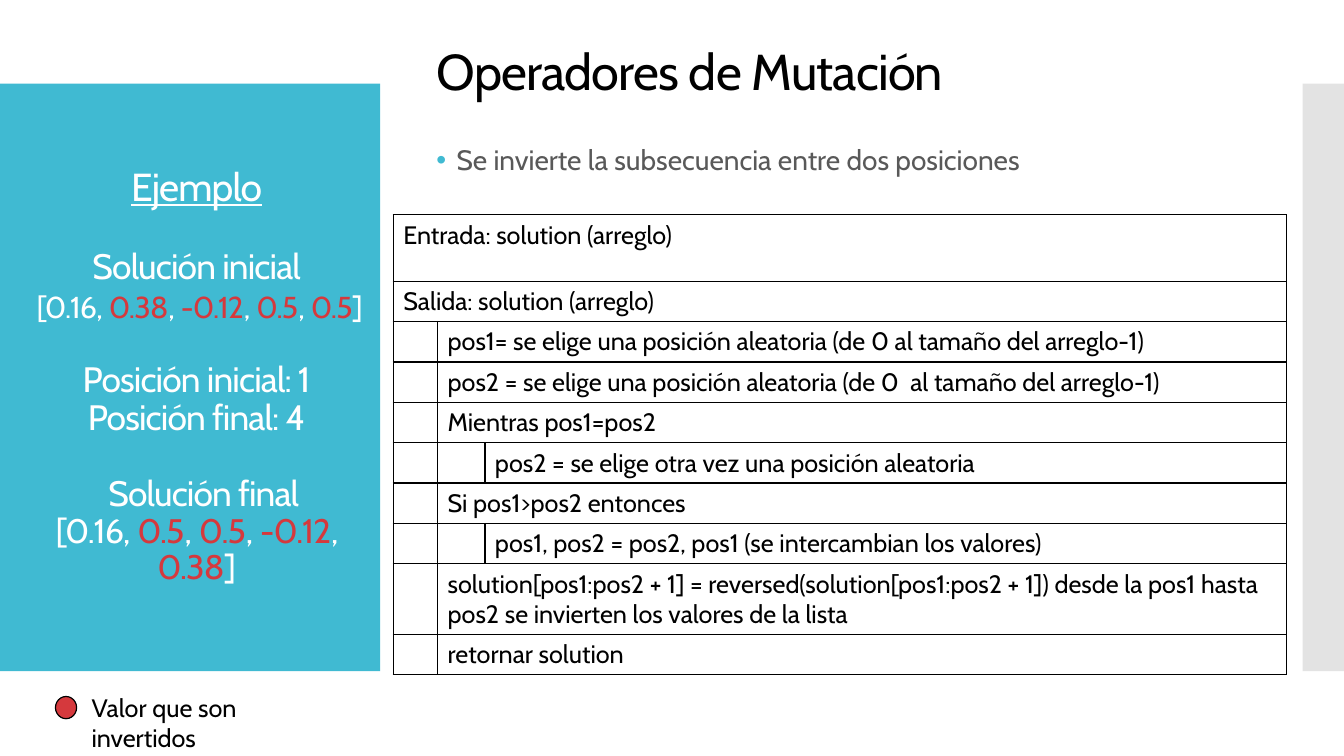
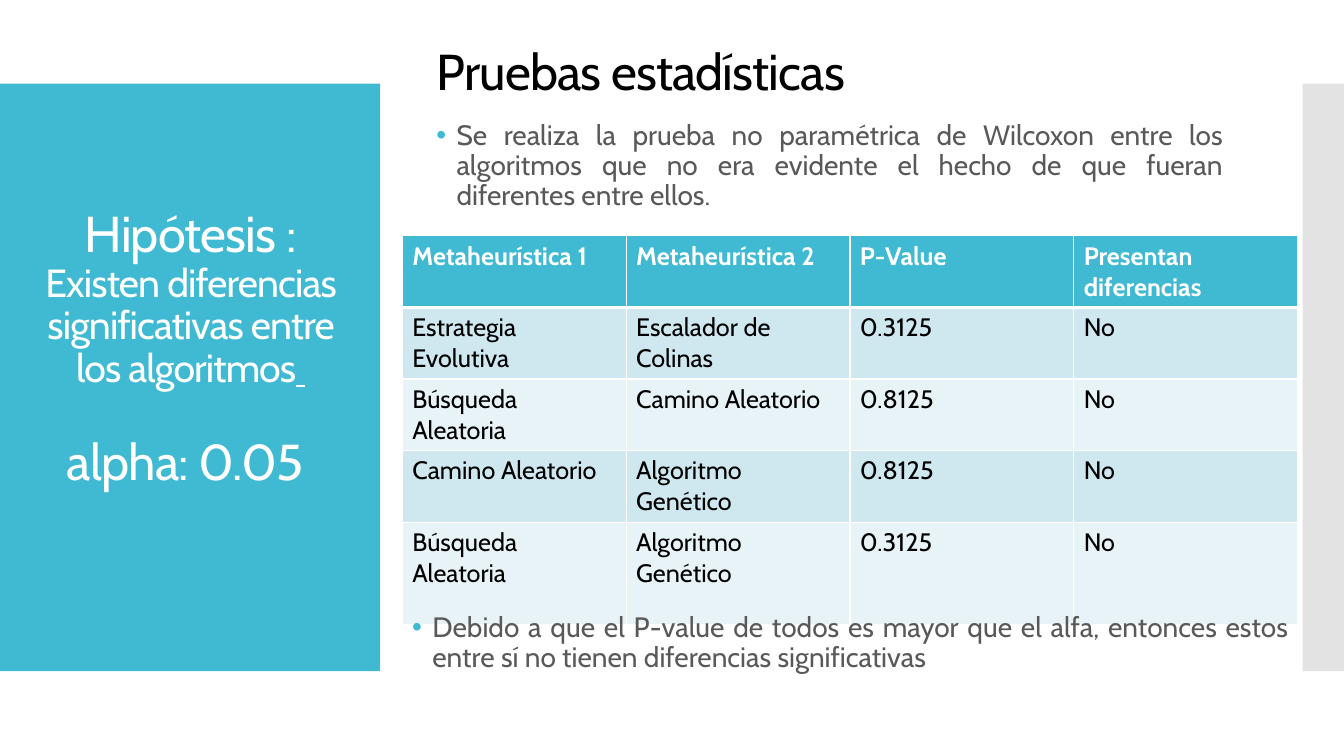
from lxml.etree import SubElement
from pptx import Presentation
from pptx.dml.color import RGBColor
from pptx.enum.shapes import MSO_SHAPE
from pptx.enum.text import MSO_ANCHOR, MSO_AUTO_SIZE, PP_ALIGN
from pptx.oxml import parse_xml
from pptx.oxml.ns import nsdecls, qn
from pptx.util import Inches, Pt

# Shared style
FONT = "Cabin"
TEAL, RED, GRAY = "40BAD2", "D5393D", "595959"
WHITE, BLACK = "FFFFFF", "000000"
BAND_ROWS = ("CFE7EE", "E8F3F7")
BAND_TOP, BAND_HEIGHT = 0.83, 5.83
TITLE_BOX = (4.23, 0.25, 8, 0.98)
TIGHT = -60  # letter spacing, hundredths of a point


# Content: each panel paragraph is (size, space before, left indent, runs)
def plain(text):
    return [(text, WHITE, False)]


def sequence(values, inverted):
    """Runs of a bracketed list whose inverted positions are red."""
    runs = plain("[")
    for index, value in enumerate(values):
        runs.append((value, RED if index in inverted else WHITE, False))
        runs += plain("]" if index == len(values) - 1 else ", ")
    return runs


INVERTED = range(1, 5)
EXAMPLE = [
    (27.9, 0, 0, [("Ejemplo", WHITE, True)]),
    (25.2, 28, 0, plain("Solución inicial")),
    (21.6, 4, 0.06, sequence(["0.16", "0.38", "-0.12", "0.5", "0.5"], INVERTED)),
    (25.2, 26, 0, plain("Posición inicial: 1")),
    (25.2, 0, 0, plain("Posición final: 4")),
    (25.2, 27, 0.14, plain("Solución final")),
    (24.3, 0, 0, sequence(["0.16", "0.5", "0.5", "-0.12", "0.38"], INVERTED)),
]
HYPOTHESIS = [
    (36, 0, 0, plain("Hipótesis :")),
    (28, 0, 0, plain("Existen diferencias significativas entre los algoritmos")
     + [(" ", WHITE, True)]),
    (36, 33, 0, plain("alpha: 0.05 ")),
]

# Pseudocode lines: (nesting depth, row height, text)
PSEUDOCODE = [
    (0, 0.66, "Entrada: solution (arreglo)"),
    (0, 0.4, "Salida: solution (arreglo)"),
    (1, 0.4, "pos1= se elige una posición aleatoria (de 0 al tamaño del arreglo-1)"),
    (1, 0.4, "pos2 = se elige una posición aleatoria (de 0  al tamaño del arreglo-1)"),
    (1, 0.4, "Mientras pos1=pos2"),
    (2, 0.4, "pos2 = se elige otra vez una posición aleatoria"),
    (1, 0.4, "Si pos1>pos2 entonces"),
    (2, 0.4, "pos1, pos2 = pos2, pos1 (se intercambian los valores)"),
    (1, 0.69, "solution[pos1:pos2 + 1] = reversed(solution[pos1:pos2 + 1]) "
              "desde la pos1 hasta pos2 se invierten los valores de la lista"),
    (1, 0.4, "retornar solution"),
]
PSEUDOCODE_COLUMNS = [0.44, 0.47, 7.95]

RESULTS = [
    ("Metaheurística 1", "Metaheurística 2", "P-Value", "Presentan diferencias"),
    ("Estrategia Evolutiva", "Escalador de Colinas", "0.3125", "No"),
    ("Búsqueda Aleatoria", "Camino Aleatorio", "0.8125", "No"),
    ("Camino Aleatorio", "Algoritmo Genético", "0.8125", "No"),
    ("Búsqueda Aleatoria", "Algoritmo Genético", "0.3125", "No"),
]
RESULT_COLUMNS = [2.22] * 4
RESULT_HEIGHTS = [0.71] * 4 + [1.02]


# Helpers
def color(value):
    return RGBColor.from_string(value)


def inches(values):
    return [Inches(value) for value in values]


def add_run(paragraph, text, size, fill, bold=False, underline=False, spacing=None):
    run = paragraph.add_run()
    run.text = text
    run.font.name, run.font.size, run.font.bold = FONT, Pt(size), bold
    run.font.color.rgb = color(fill)
    if underline:
        run.font.underline = True
    if spacing is not None:
        run.font._element.set("spc", str(spacing))


def add_box(slide, box, anchor=MSO_ANCHOR.MIDDLE):
    frame = slide.shapes.add_textbox(*inches(box)).text_frame
    frame.word_wrap = True
    frame.vertical_anchor = anchor
    return frame


def add_filled(slide, kind, box, fill):
    shape = slide.shapes.add_shape(kind, *inches(box))
    shape.shadow.inherit = False
    shape.fill.solid()
    shape.fill.fore_color.rgb = color(fill)
    shape.line.fill.background()
    return shape


def add_base(presentation, title):
    """Title-only slide with the two side bands."""
    slide = presentation.slides.add_slide(presentation.slide_layouts[5])
    add_filled(slide, MSO_SHAPE.RECTANGLE, (0, BAND_TOP, 3.77, BAND_HEIGHT), TEAL)
    right = add_filled(slide, MSO_SHAPE.RECTANGLE,
                       (12.92, BAND_TOP, 0.42, BAND_HEIGHT), "C8C8C8")
    tint = right.fill._xPr.find(".//" + qn("a:srgbClr"))
    SubElement(tint, qn("a:alpha"), val="50000")

    shape = slide.shapes.title
    shape.left, shape.top, shape.width, shape.height = inches(TITLE_BOX)
    frame = shape.text_frame
    frame.word_wrap, frame.auto_size = True, MSO_AUTO_SIZE.NONE
    frame.vertical_anchor = MSO_ANCHOR.MIDDLE
    paragraph = frame.paragraphs[0]
    paragraph.alignment, paragraph.line_spacing = PP_ALIGN.LEFT, 0.9
    add_run(paragraph, title, 36, BLACK, spacing=TIGHT)
    return slide


def add_panel(slide, box, content):
    frame = add_box(slide, box)
    for index, (size, before, indent, runs) in enumerate(content):
        paragraph = frame.add_paragraph() if index else frame.paragraphs[0]
        paragraph.alignment, paragraph.line_spacing = PP_ALIGN.CENTER, 0.9
        paragraph.space_before = Pt(before)
        if indent:
            paragraph._p.get_or_add_pPr().set("marL", str(Inches(indent)))
        for text, fill, underline in runs:
            add_run(paragraph, text, size, fill, underline=underline, spacing=TIGHT)


def add_bullet(slide, box, text, alignment=PP_ALIGN.JUSTIFY):
    paragraph = add_box(slide, box).paragraphs[0]
    paragraph.alignment, paragraph.line_spacing = alignment, 0.9
    properties = paragraph._p.get_or_add_pPr()
    properties.set("marL", str(Inches(0.2)))
    properties.set("indent", str(-Inches(0.2)))
    bullet_color = SubElement(properties, qn("a:buClr"))
    SubElement(bullet_color, qn("a:srgbClr"), val=TEAL)
    SubElement(properties, qn("a:buFont"), typeface="Arial")
    SubElement(properties, qn("a:buChar"), char="•")
    add_run(paragraph, text, 20, GRAY)


def set_borders(cell, fill, top=1, bottom=1):
    properties = cell._tc.get_or_add_tcPr()
    widths = (("L", 1), ("R", 1), ("T", top), ("B", bottom))
    for position, (side, width) in enumerate(widths):
        properties.insert(position, parse_xml(
            f'<a:ln{side} {nsdecls("a")} w="{Pt(width)}"><a:solidFill>'
            f'<a:srgbClr val="{fill}"/></a:solidFill></a:ln{side}>'))


def add_grid(slide, left, top, columns, heights):
    box = inches((left, top, sum(columns), sum(heights)))
    table = slide.shapes.add_table(len(heights), len(columns), *box).table
    table.first_row = table.horz_banding = False
    for column, width in zip(table.columns, columns):
        column.width = Inches(width)
    for row, height in zip(table.rows, heights):
        row.height = Inches(height)
    return table


def add_pseudocode(slide):
    heights = [height for _, height, _ in PSEUDOCODE]
    table = add_grid(slide, 3.9, 2.13, PSEUDOCODE_COLUMNS, heights)
    last = len(PSEUDOCODE_COLUMNS) - 1
    for row, (depth, _, text) in enumerate(PSEUDOCODE):
        for column in range(last + 1):
            cell = table.cell(row, column)
            cell.fill.background()
            set_borders(cell, BLACK)
        cell = table.cell(row, depth)
        if depth < last:
            cell.merge(table.cell(row, last))
        add_run(cell.text_frame.paragraphs[0], text, 18, BLACK)


def add_results(slide):
    table = add_grid(slide, 3.99, 2.34, RESULT_COLUMNS, RESULT_HEIGHTS)
    for row, values in enumerate(RESULTS):
        header = row == 0
        for column, text in enumerate(values):
            cell = table.cell(row, column)
            cell.fill.solid()
            cell.fill.fore_color.rgb = color(TEAL if header else BAND_ROWS[(row - 1) % 2])
            set_borders(cell, WHITE, top=3 if row == 1 else 1, bottom=3 if header else 1)
            add_run(cell.text_frame.paragraphs[0], text, 18,
                    WHITE if header else BLACK, bold=header)


def add_legend(slide):
    dot = add_filled(slide, MSO_SHAPE.OVAL, (0.55, 6.91, 0.21, 0.22), RED)
    dot.line.color.rgb = color(BLACK)
    dot.line.width = Pt(0.85)
    frame = add_box(slide, (0.81, 6.82, 2.6, 0.4), MSO_ANCHOR.TOP)
    add_run(frame.paragraphs[0], "Valor que son invertidos", 18, BLACK)


def main():
    presentation = Presentation()
    presentation.slide_width, presentation.slide_height = Inches(13.33), Inches(7.5)

    # Mutation operator
    slide = add_base(presentation, "Operadores de Mutación")
    add_panel(slide, (0.19, 1.23, 3.52, 5.03), EXAMPLE)
    add_pseudocode(slide)
    add_legend(slide)
    add_bullet(slide, (4.23, 1.19, 8, 0.83),
               "Se invierte la subsecuencia entre dos posiciones", PP_ALIGN.LEFT)

    # Statistical tests
    slide = add_base(presentation, "Pruebas estadísticas")
    add_bullet(slide, (4.23, 0.94, 8, 1.42),
               "Se realiza la prueba no paramétrica de Wilcoxon entre los algoritmos "
               "que no era evidente el hecho de que fueran diferentes entre ellos.")
    add_results(slide)
    add_panel(slide, (0.28, 1.23, 3.22, 4.49), HYPOTHESIS)
    add_bullet(slide, (3.99, 5.84, 8.89, 1.09),
               "Debido a que el P-value de todos es mayor que el alfa, entonces estos "
               "entre sí no tienen diferencias significativas")

    presentation.save("out.pptx")


if __name__ == "__main__":
    main()
